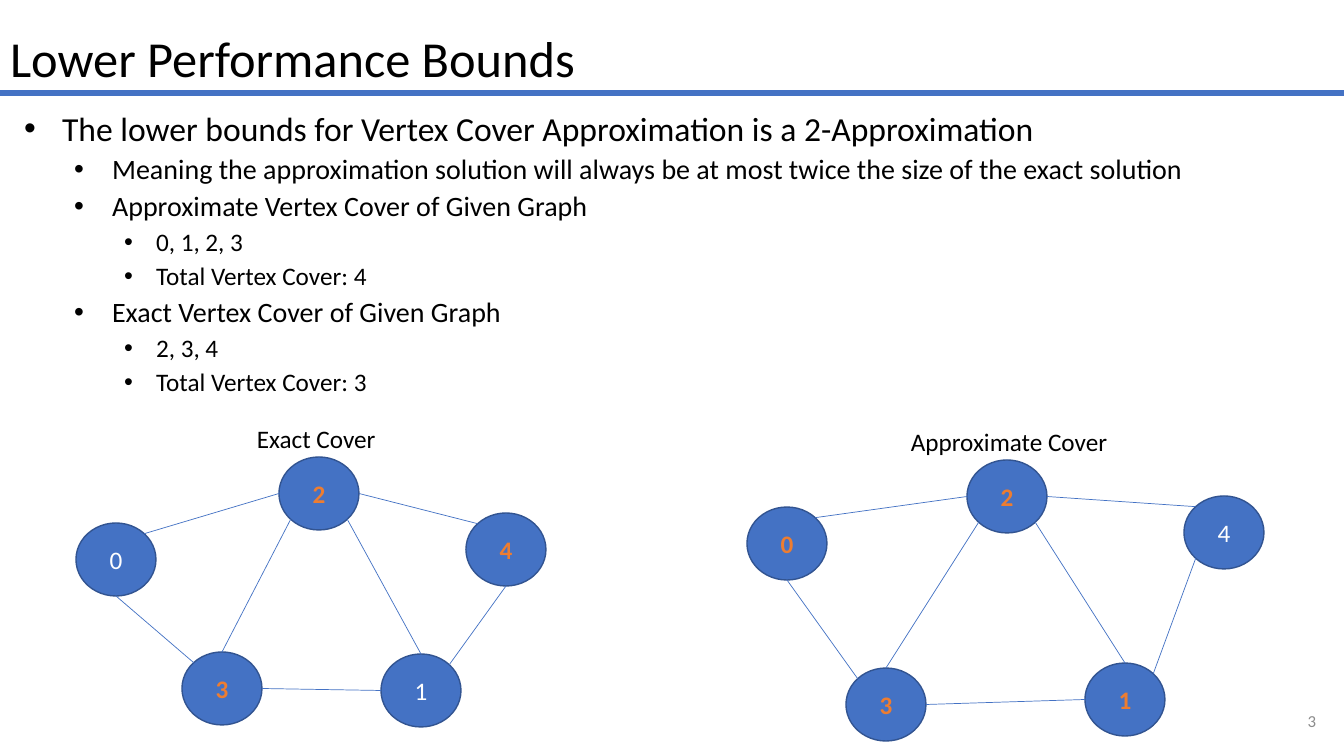
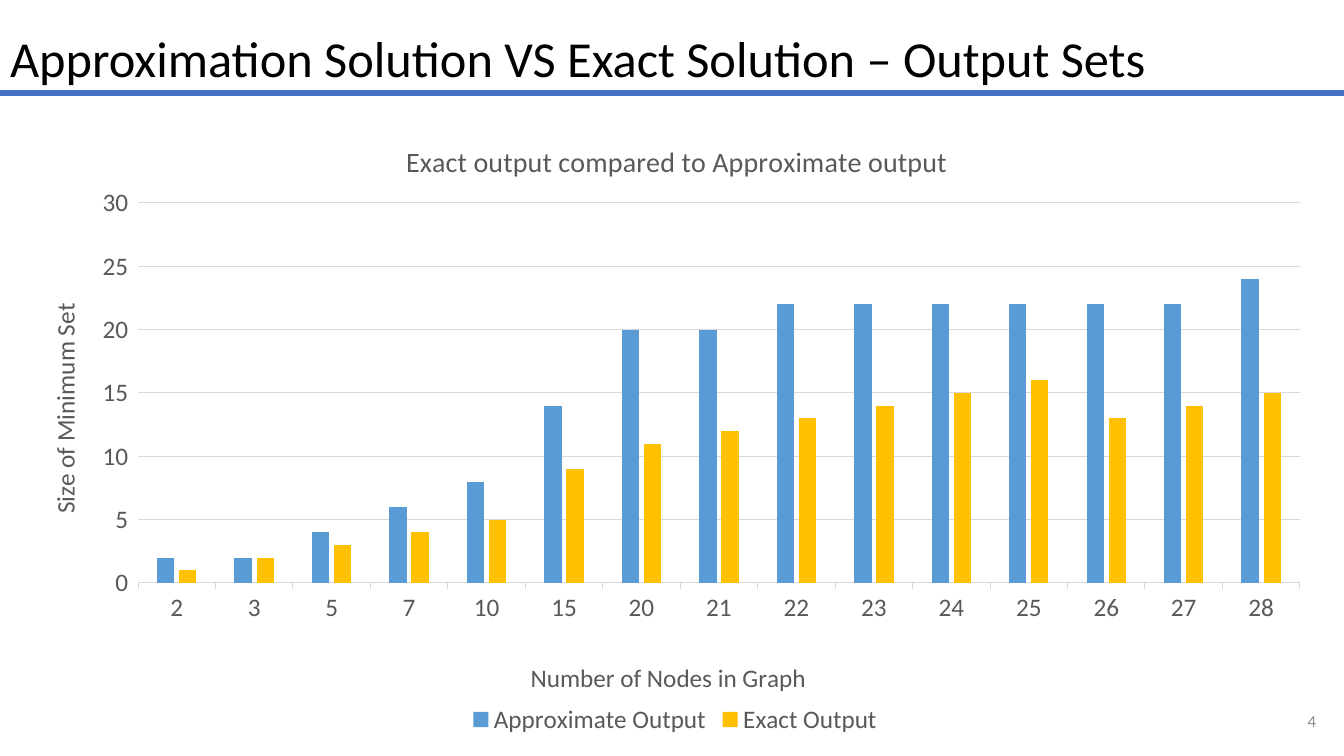
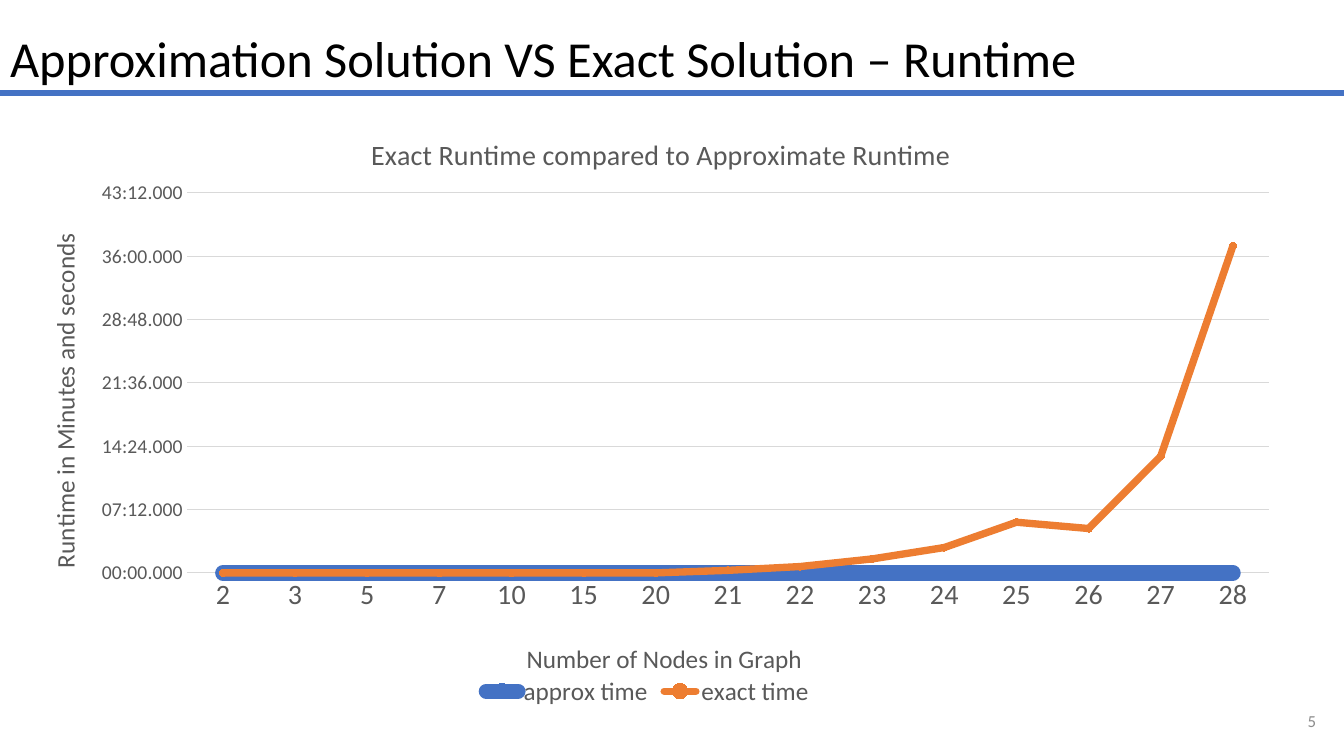
from lxml.etree import SubElement
from pptx import Presentation
from pptx.chart.data import CategoryChartData
from pptx.dml.color import RGBColor
from pptx.enum.chart import XL_CHART_TYPE, XL_LEGEND_POSITION, XL_MARKER_STYLE, XL_TICK_MARK
from pptx.enum.shapes import MSO_CONNECTOR, MSO_SHAPE
from pptx.enum.text import MSO_ANCHOR, MSO_AUTO_SIZE, PP_ALIGN
from pptx.oxml.ns import qn
from pptx.util import Pt

COLUMNS, LINES = XL_CHART_TYPE.COLUMN_CLUSTERED, XL_CHART_TYPE.LINE_MARKERS
TICK_OUT, TICK_NONE = XL_TICK_MARK.OUTSIDE, XL_TICK_MARK.NONE
LEFT, CENTER, RIGHT = PP_ALIGN.LEFT, PP_ALIGN.CENTER, PP_ALIGN.RIGHT
TOP, MIDDLE, BOTTOM = MSO_ANCHOR.TOP, MSO_ANCHOR.MIDDLE, MSO_ANCHOR.BOTTOM

BLACK = RGBColor(0, 0, 0)
WHITE = RGBColor(255, 255, 255)
BLUE = RGBColor(0x44, 0x72, 0xC4)
NAVY = RGBColor(0x32, 0x54, 0x91)
SKY = RGBColor(0x5B, 0x9B, 0xD5)
GOLD = RGBColor(0xFF, 0xC0, 0x00)
ORANGE = RGBColor(0xED, 0x7D, 0x31)
GRAY = RGBColor(0x8C, 0x8C, 0x8C)
DARK_GRAY = RGBColor(0x59, 0x59, 0x59)
LIGHT_GRAY = RGBColor(0xD9, 0xD9, 0xD9)
FONT = "Calibri"

WIDTH, HEIGHT = 1344, 756
SCALE = 12192000 / WIDTH
FIRST_NUMBER = 3
TITLE_BOX = (0, -2, 1344, 95)
RULE_Y = 93
NUMBER_BOX = (1257, 701, 69, 40)
BODY_BOX = (14, 107, 1218, 284)

BULLETS = [
    (0, "The lower bounds for Vertex Cover Approximation is a 2-Approximation"),
    (1, "Meaning the approximation solution will always be at most twice the size of the exact solution"),
    (1, "Approximate Vertex Cover of Given Graph"),
    (2, "0, 1, 2, 3"),
    (2, "Total Vertex Cover: 4"),
    (1, "Exact Vertex Cover of Given Graph"),
    (2, "2, 3, 4"),
    (2, "Total Vertex Cover: 3"),
]
LEVELS = [
    {"size": 24, "before": 10, "margin": 38, "hang": 38},
    {"size": 20, "before": 5, "margin": 88, "hang": 38},
    {"size": 18, "before": 5, "margin": 132, "hang": 32},
]

NODE_W, NODE_H = 80, 73
DIAGONAL = 0.3536
SITES = {
    "top": (0, -0.5), "bottom": (0, 0.5), "left": (-0.5, 0), "right": (0.5, 0),
    "top left": (-DIAGONAL, -DIAGONAL), "top right": (DIAGONAL, -DIAGONAL),
    "bottom left": (-DIAGONAL, DIAGONAL), "bottom right": (DIAGONAL, DIAGONAL),
}
EDGES = [
    (2, "left", 0, "top right"), (2, "right", 4, "top left"),
    (0, "bottom", 3, "top left"), (3, "right", 1, "left"),
    (2, "bottom left", 3, "top"), (2, "bottom right", 1, "top"),
]
GRAPHS = [
    {"label": "Exact Cover", "box": (247, 418, 150, 40), "cover": {2, 3, 4},
     "nodes": {0: (76, 523), 1: (381, 654), 2: (279, 457), 3: (182, 652), 4: (466, 513)},
     "edge": (1, "top right", 4, "bottom")},
    {"label": "Approximate Cover", "box": (901, 421, 267, 40), "cover": {0, 1, 2, 3},
     "nodes": {0: (747, 507), 1: (1085, 663), 2: (967, 460), 3: (846, 668), 4: (1184, 496)},
     "edge": (1, "top right", 4, "bottom left")},
]

NODE_COUNTS = ["2", "3", "5", "7", "10", "15", "20", "21", "22", "23", "24", "25", "26", "27", "28"]
CHARTS = [
    {"slide": "Approximation Solution VS Exact Solution – Output Sets",
     "type": COLUMNS, "box": (18, 113, 1307, 628), "plot": (138, 203, 1162, 380),
     "title": ("Exact output compared to Approximate output", 401, 137),
     "x_title": ("Number of Nodes in Graph", 526, 656),
     "y_title": ("Size of Minimum Set", 43, 299),
     "legend": (465, 702), "tick": TICK_OUT, "x_size": 18, "y_size": 18,
     "format": "General", "scale": (30, 5),
     "series": [("Approximate Output", SKY, None, [2, 2, 4, 6, 8, 14, 20, 20, 22, 22, 22, 22, 22, 22, 24]),
                ("Exact Output", GOLD, None, [1, 2, 3, 4, 5, 9, 11, 12, 13, 14, 15, 16, 13, 14, 15])]},
    {"slide": "Approximation Solution VS Exact Solution – Runtime",
     "type": LINES, "box": (18, 107, 1276, 622), "plot": (187, 193, 1082, 380),
     "title": ("Exact Runtime compared to Approximate Runtime", 366, 130),
     "x_title": ("Number of Nodes in Graph", 522, 637),
     "y_title": ("Runtime in Minutes and seconds", 43, 229),
     "legend": (478, 671), "tick": TICK_NONE, "x_size": 20, "y_size": 14,
     "format": "mm:ss.000", "scale": (0.03, 0.005),
     "series": [("approx time", BLUE, 11.25, [0] * 15),
                ("exact time", ORANGE, 5.25,
                 [0] * 7 + [0.0002, 0.0005, 0.0011, 0.002, 0.004, 0.0035, 0.0092, 0.0258])]},
]


def px(*values):
    return [round(v * SCALE) for v in values]


def style(font, size, color, bold=False):
    for name, value in {"name": FONT, "size": Pt(size), "bold": bold}.items():
        setattr(font, name, value)
    font.color.rgb = color


def place(sp, box):
    sp.left, sp.top, sp.width, sp.height = px(*box)


def write(sp, text, size, color, align=LEFT, anchor=TOP, bold=False):
    tf = sp.text_frame
    tf.text = text
    settings = {"word_wrap": True, "auto_size": MSO_AUTO_SIZE.NONE, "vertical_anchor": anchor}
    for name, value in settings.items():
        setattr(tf, name, value)
    p = tf.paragraphs[0]
    p.alignment = align
    style(p.runs[0].font, size, color, bold)
    return p


def add_line(s, start, end, width):
    line = s.shapes.add_connector(MSO_CONNECTOR.STRAIGHT, *px(*start, *end))
    line.line.color.rgb = BLUE
    line.line.width = Pt(width)
    SubElement(line.element.spPr, qn("a:effectLst"))


def add_slide(prs, layout, title):
    s = prs.slides.add_slide(prs.slide_layouts[layout])
    place(s.shapes.title, TITLE_BOX)
    write(s.shapes.title, title, 36, BLACK, anchor=BOTTOM).line_spacing = 0.9
    add_line(s, (0, RULE_Y), (WIDTH, RULE_Y), 3.75)
    number = s.shapes.add_textbox(*px(*NUMBER_BOX))
    write(number, str(FIRST_NUMBER + len(prs.slides) - 1), 12, GRAY, RIGHT, MIDDLE)
    return s


def add_bullets(s):
    body = s.placeholders[1]
    place(body, BODY_BOX)
    tf = body.text_frame
    tf.auto_size = MSO_AUTO_SIZE.NONE
    tf.text = "\n".join(text for _, text in BULLETS)
    for p, (level, _) in zip(tf.paragraphs, BULLETS):
        look = LEVELS[level]
        settings = {"level": level, "line_spacing": 0.9, "space_before": Pt(look["before"]), "alignment": LEFT}
        for name, value in settings.items():
            setattr(p, name, value)
        style(p.runs[0].font, look["size"], BLACK)
        margin, hang = px(look["margin"], look["hang"])
        pPr = p._p.get_or_add_pPr()
        pPr.set("marL", str(margin))
        pPr.set("indent", str(-hang))
        SubElement(pPr, qn("a:buFont")).set("typeface", "Arial")
        SubElement(pPr, qn("a:buChar")).set("char", "•")


def site(corner, name):
    dx, dy = SITES[name]
    return corner[0] + NODE_W * (0.5 + dx), corner[1] + NODE_H * (0.5 + dy)


def add_graph(s, graph):
    nodes = graph["nodes"]
    for key, corner in nodes.items():
        node = s.shapes.add_shape(MSO_SHAPE.OVAL, *px(*corner, NODE_W, NODE_H))
        node.shadow.inherit = False
        node.fill.solid()
        node.fill.fore_color.rgb = BLUE
        node.line.color.rgb = NAVY
        node.line.width = Pt(1)
        covered = key in graph["cover"]
        write(node, str(key), 18, ORANGE if covered else WHITE, CENTER, MIDDLE, covered)
    for a, a_site, b, b_site in EDGES + [graph["edge"]]:
        add_line(s, site(nodes[a], a_site), site(nodes[b], b_site), 0.5)
    write(s.shapes.add_textbox(*px(*graph["box"])), graph["label"], 18, BLACK)


def pin(element, spot, frame):
    left, top, width, height = frame
    old = element.find(qn("c:layout"))
    if old is not None:
        element.remove(old)
    layout = SubElement(element, qn("c:layout"))
    overlay = element.find(qn("c:overlay"))
    if overlay is not None:
        overlay.addprevious(layout)
    else:
        element.insert(0, layout)
    manual = SubElement(layout, qn("c:manualLayout"))
    values = {"xMode": "edge", "yMode": "edge",
              "x": (spot[0] - left) / width, "y": (spot[1] - top) / height}
    if len(spot) == 4:
        values = {"layoutTarget": "inner", **values, "w": spot[2] / width, "h": spot[3] / height}
    for name, value in values.items():
        SubElement(manual, qn("c:" + name)).set("val", str(value))


def add_title(title, spec_text, size, frame):
    text, x, y = spec_text
    title.text_frame.text = text
    style(title.text_frame.paragraphs[0].runs[0].font, size, DARK_GRAY)
    pin(title.element, (x, y), frame)


def add_chart(s, info):
    data = CategoryChartData(number_format=info["format"])
    data.categories = NODE_COUNTS
    for name, _, _, values in info["series"]:
        data.add_series(name, values)
    frame = info["box"]
    chart = s.shapes.add_chart(info["type"], *px(*frame), data).chart
    style(chart.font, 10, BLACK)
    chart.has_title = chart.has_legend = True
    add_title(chart.chart_title, info["title"], 20, frame)
    chart.legend.position = XL_LEGEND_POSITION.BOTTOM
    chart.legend.include_in_layout = False
    style(chart.legend.font, 18, DARK_GRAY)
    pin(chart.element.find(".//" + qn("c:legend")), info["legend"], frame)
    pin(chart.element.find(".//" + qn("c:plotArea")), info["plot"], frame)

    x_axis, y_axis = chart.category_axis, chart.value_axis
    for axis, key in ((x_axis, "x"), (y_axis, "y")):
        axis.major_tick_mark = info["tick"]
        axis.minor_tick_mark = TICK_NONE
        style(axis.tick_labels.font, info[key + "_size"], DARK_GRAY)
        add_title(axis.axis_title, info[key + "_title"], 18, frame)
    turned = y_axis.axis_title.element.find(".//" + qn("a:bodyPr"))
    turned.set("rot", "-5400000")
    turned.set("vert", "horz")
    x_axis.has_major_gridlines = False
    y_axis.has_major_gridlines = True
    for line in (x_axis.format.line, y_axis.major_gridlines.format.line):
        line.color.rgb = LIGHT_GRAY
        line.width = Pt(0.75)
    y_axis.format.line.fill.background()
    y_axis.minimum_scale = 0
    y_axis.maximum_scale, y_axis.major_unit = info["scale"]
    y_axis.tick_labels.number_format = info["format"]
    y_axis.tick_labels.number_format_is_linked = False

    plot = chart.plots[0]
    plot.vary_by_categories = False
    if info["type"] == COLUMNS:
        plot.gap_width, plot.overlap = 219, -27
    for series, (_, color, width, _) in zip(plot.series, info["series"]):
        if width is None:
            series.format.fill.solid()
            series.format.fill.fore_color.rgb = color
            continue
        series.smooth = False
        series.format.line.color.rgb = color
        series.format.line.width = Pt(width)
        series.format.line._get_or_add_ln().set("cap", "rnd")
        series.marker.style = XL_MARKER_STYLE.CIRCLE
        series.marker.size = 5
        series.marker.format.fill.solid()
        series.marker.format.fill.fore_color.rgb = color
        series.marker.format.line.color.rgb = color


prs = Presentation()
prs.slide_width, prs.slide_height = px(WIDTH, HEIGHT)
s = add_slide(prs, 1, "Lower Performance Bounds")
add_bullets(s)
for graph in GRAPHS:
    add_graph(s, graph)
for info in CHARTS:
    add_chart(add_slide(prs, 5, info["slide"]), info)
prs.save("out.pptx")
